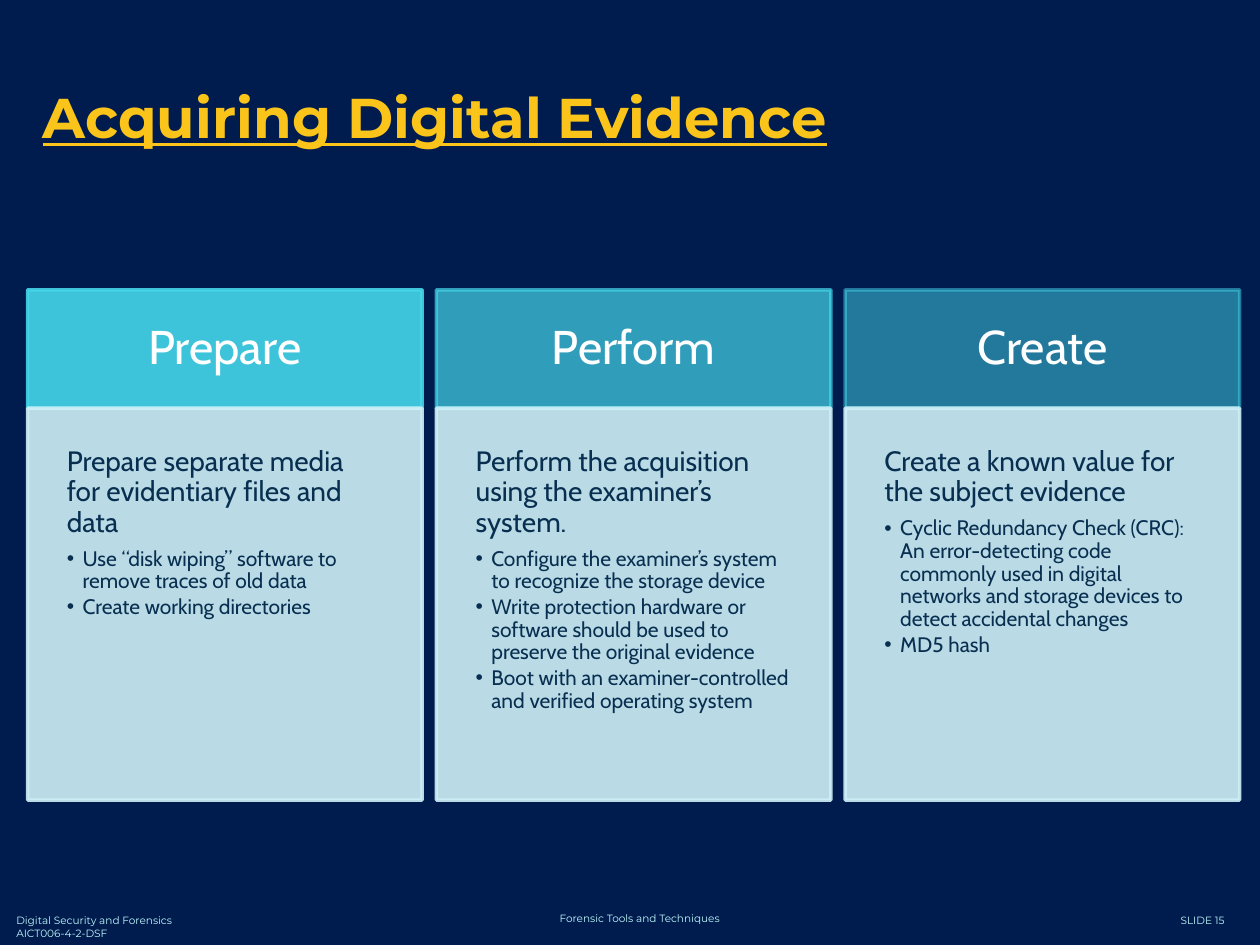
from dataclasses import dataclass

from lxml import etree
from pptx import Presentation
from pptx.dml.color import RGBColor
from pptx.enum.shapes import MSO_SHAPE
from pptx.enum.text import MSO_ANCHOR, MSO_AUTO_SIZE, PP_ALIGN
from pptx.oxml.ns import qn
from pptx.util import Pt

RECTANGLE = MSO_SHAPE.RECTANGLE
TOP, MIDDLE = MSO_ANCHOR.TOP, MSO_ANCHOR.MIDDLE
LEFT, CENTER = PP_ALIGN.LEFT, PP_ALIGN.CENTER
NO_AUTOFIT = MSO_AUTO_SIZE.NONE

TITLE = "Acquiring Digital Evidence"
STEPS = [
    ("Prepare", 90, "Prepare separate media for evidentiary files and data", [
        "Use “disk wiping” software to remove traces of old data",
        "Create working directories",
    ]),
    ("Perform", 70, "Perform the acquisition using the examiner’s system.", [
        "Configure the examiner’s system to recognize the storage device",
        "Write protection hardware or software should be used to preserve the original evidence",
        "Boot with an examiner-controlled and verified operating system",
    ]),
    ("Create", 50, "Create a known value for the subject evidence", [
        "Cyclic Redundancy Check (CRC): An error-detecting code commonly used in digital "
        "networks and storage devices to detect accidental changes",
        "MD5 hash",
    ]),
]
FOOTERS = [
    ("Digital Security and Forensics\nAICT006-4-2-DSF", LEFT, (2.2, 519, 140.4, 21.6)),
    ("Forensic Tools and Techniques", CENTER, (265, 517.7, 200.9, 14.4)),
    ("SLIDE 15", CENTER, (641.5, 519, 91.4, 14.4)),
]


@dataclass(frozen=True)
class Theme:
    background: str = "001B4D"
    title: str = "FAC41B"
    footer: str = "C0F9FC"
    heading: str = "FFFFFF"
    heading_fill: str = "45D7EA"
    detail: str = "082F50"
    detail_fill: str = "CFF0F7"
    display_font: str = "Montserrat"
    text_font: str = "Cabin"
    title_size: float = 32
    heading_size: float = 27
    lead_size: float = 16
    bullet_size: float = 12
    footer_size: float = 6


THEME = Theme()
COLUMN_LEFT, COLUMN_WIDTH, COLUMN_GAP = 15.8, 225.4, 8.2
HEADING_TOP, HEADING_HEIGHT, DETAIL_HEIGHT = 165.6, 67.7, 223.9
HEADING_INSET, DETAIL_INSET = 18, 22.4
BULLET_INDENT = 9
DETAIL_OPACITY = 90


def place(part, left, top, width, height):
    part.left, part.top, part.width, part.height = map(Pt, (left, top, width, height))


def style(paragraph, font_name, size, color, bold=False, underline=False):
    font = paragraph.font
    font.name, font.size = font_name, Pt(size)
    font.color.rgb = RGBColor.from_string(color)
    font.bold, font.underline = bold, underline


def paint(panel, color, opacity):
    for paint_fill in (panel.fill, panel.line.fill):
        paint_fill.solid()
        paint_fill.fore_color.rgb = RGBColor.from_string(color)
    panel.line.width = Pt(2)
    for tint in panel._element.spPr.iter(qn("a:srgbClr")):
        etree.SubElement(tint, qn("a:alpha"), val=str(opacity * 1000))


def prepare_frame(frame, anchor, inset):
    frame.word_wrap = True
    frame.auto_size = NO_AUTOFIT
    frame.vertical_anchor = anchor
    frame.margin_left = frame.margin_right = Pt(inset)
    frame.margin_top = frame.margin_bottom = Pt(inset)


def space(paragraph, after):
    paragraph.line_spacing = 0.9
    paragraph.space_before, paragraph.space_after = Pt(0), Pt(after)


def set_bullet(paragraph, indent):
    properties = paragraph._p.get_or_add_pPr()
    properties.set("marL", str(Pt(indent)))
    properties.set("indent", str(-Pt(indent)))
    if indent:
        etree.SubElement(properties, qn("a:buChar"), char="•")
    else:
        etree.SubElement(properties, qn("a:buNone"))


def add_heading(slide, heading, opacity, left):
    panel = slide.shapes.add_shape(
        RECTANGLE, *map(Pt, (left, HEADING_TOP, COLUMN_WIDTH, HEADING_HEIGHT)))
    panel.shadow.inherit = False
    paint(panel, THEME.heading_fill, opacity)
    prepare_frame(panel.text_frame, MIDDLE, HEADING_INSET)
    paragraph = panel.text_frame.paragraphs[0]
    paragraph.text, paragraph.alignment = heading, CENTER
    space(paragraph, 0)
    style(paragraph, THEME.text_font, THEME.heading_size, THEME.heading)
    return panel


def fill_detail(detail, lead, bullets, left):
    place(detail, left, HEADING_TOP + HEADING_HEIGHT, COLUMN_WIDTH, DETAIL_HEIGHT)
    paint(detail, THEME.detail_fill, DETAIL_OPACITY)
    frame = detail.text_frame
    prepare_frame(frame, TOP, DETAIL_INSET)
    for index, wording in enumerate([lead, *bullets]):
        paragraph = frame.add_paragraph() if index else frame.paragraphs[0]
        paragraph.text, paragraph.alignment = wording, LEFT
        paragraph.level = 1 if index else 0
        set_bullet(paragraph, BULLET_INDENT if index else 0)
        space(paragraph, 1.8 if index else 5.6)
        size = THEME.bullet_size if index else THEME.lead_size
        style(paragraph, THEME.text_font, size, THEME.detail)


def add_footer(slide, wording, alignment, box):
    frame = slide.shapes.add_textbox(*map(Pt, box)).text_frame
    frame.word_wrap = True
    paragraph = frame.paragraphs[0]
    paragraph.text, paragraph.alignment = wording, alignment
    style(paragraph, THEME.display_font, THEME.footer_size, THEME.footer)


def main():
    deck = Presentation()
    deck.slide_width, deck.slide_height = Pt(720), Pt(540)
    slide = deck.slides.add_slide(deck.slide_layouts.get_by_name("Comparison"))
    slide.background.fill.solid()
    slide.background.fill.fore_color.rgb = RGBColor.from_string(THEME.background)

    for footer in FOOTERS:
        add_footer(slide, *footer)

    title = slide.shapes.title
    place(title, 17.3, 21.6, 617.8, 90)
    title.text_frame.auto_size = NO_AUTOFIT
    title.text_frame.vertical_anchor = MIDDLE
    paragraph = title.text_frame.paragraphs[0]
    paragraph.text, paragraph.alignment = TITLE, LEFT
    style(paragraph, THEME.display_font, THEME.title_size, THEME.title, True, True)

    *details, spare = list(slide.placeholders)[1:]
    spare._element.getparent().remove(spare._element)
    for column, (step, detail) in enumerate(zip(STEPS, details)):
        heading, opacity, lead, bullets = step
        left = COLUMN_LEFT + column * (COLUMN_WIDTH + COLUMN_GAP)
        panel = add_heading(slide, heading, opacity, left)
        fill_detail(detail, lead, bullets, left)
        panel._element.addnext(detail._element)

    deck.save("out.pptx")


if __name__ == "__main__":
    main()
